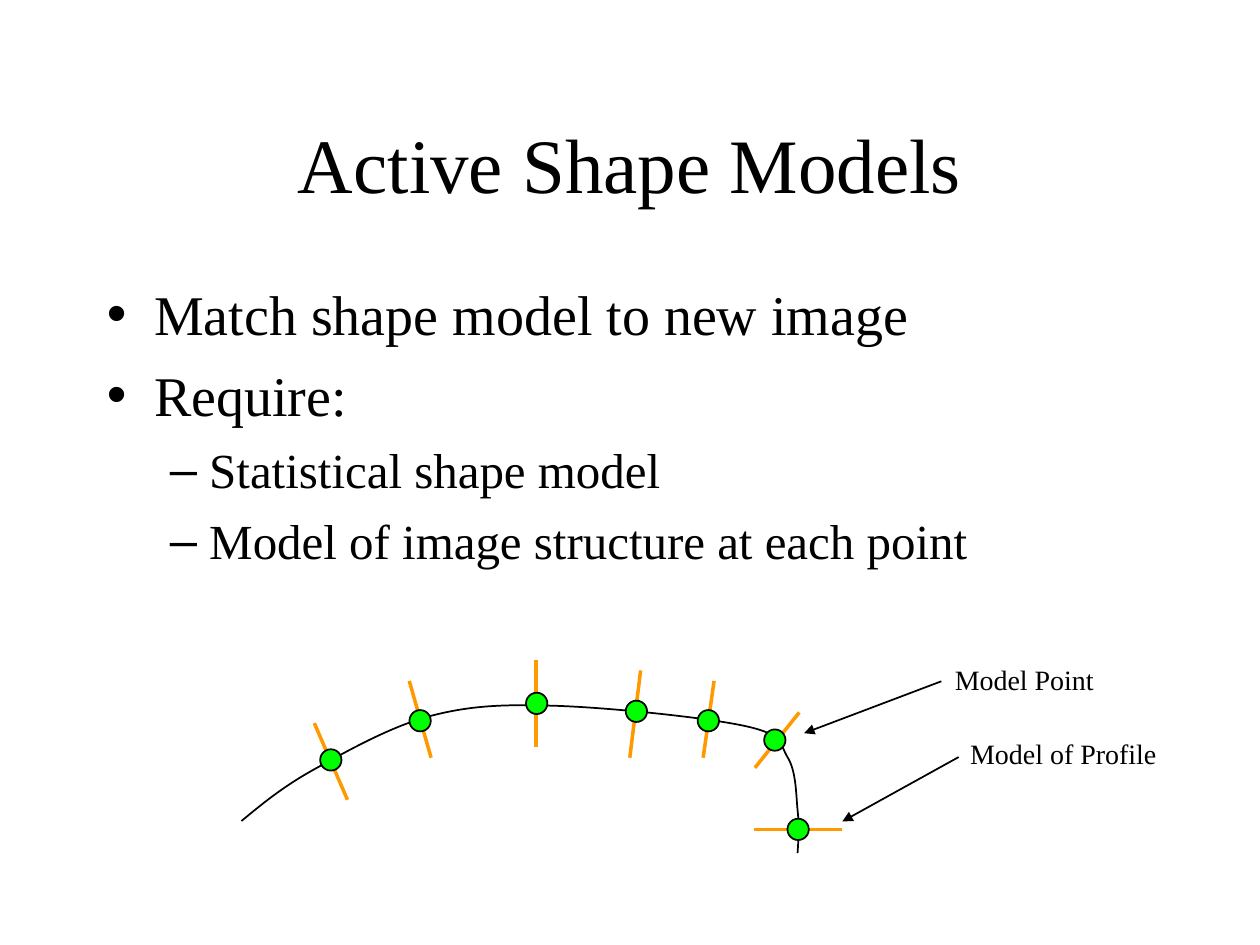
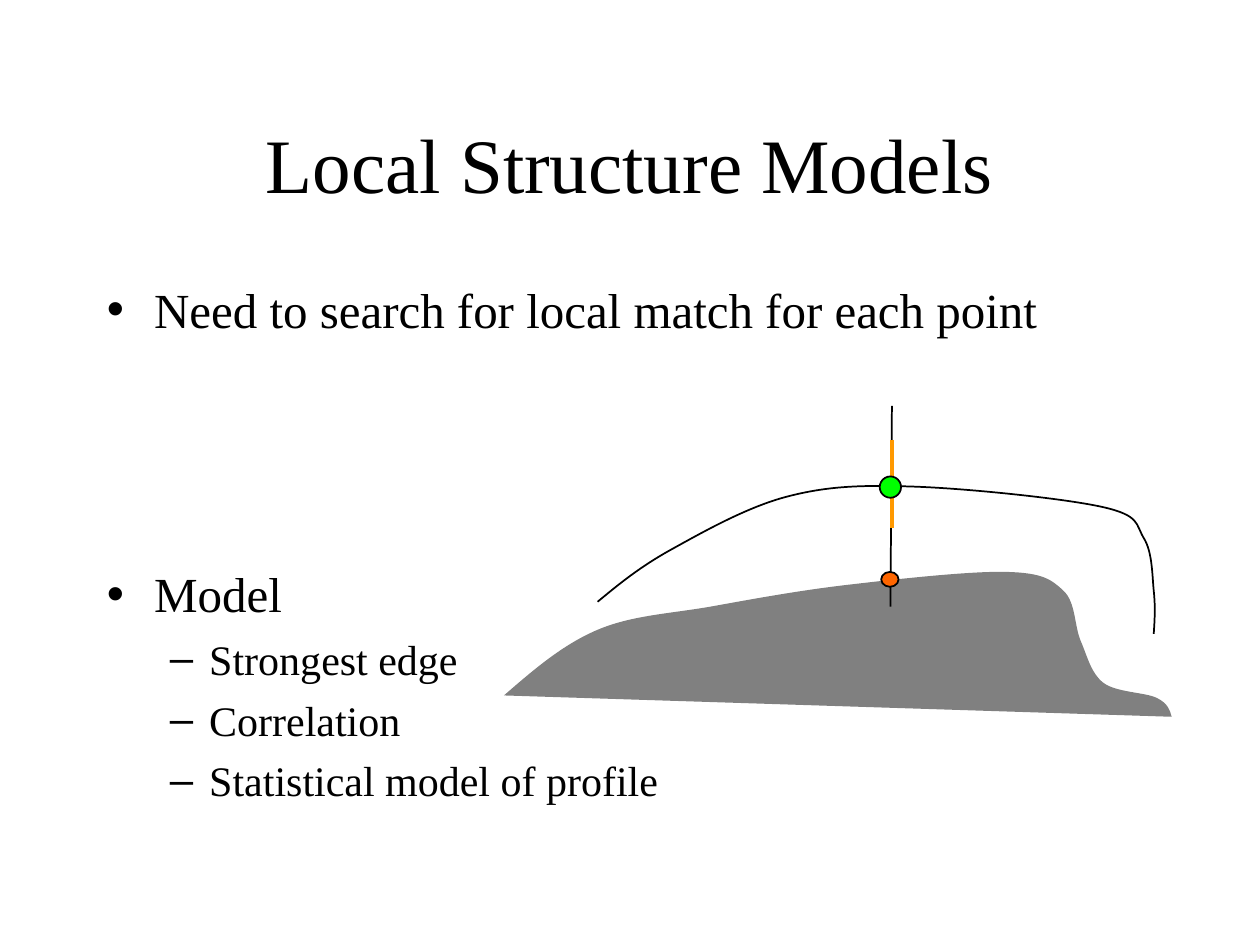
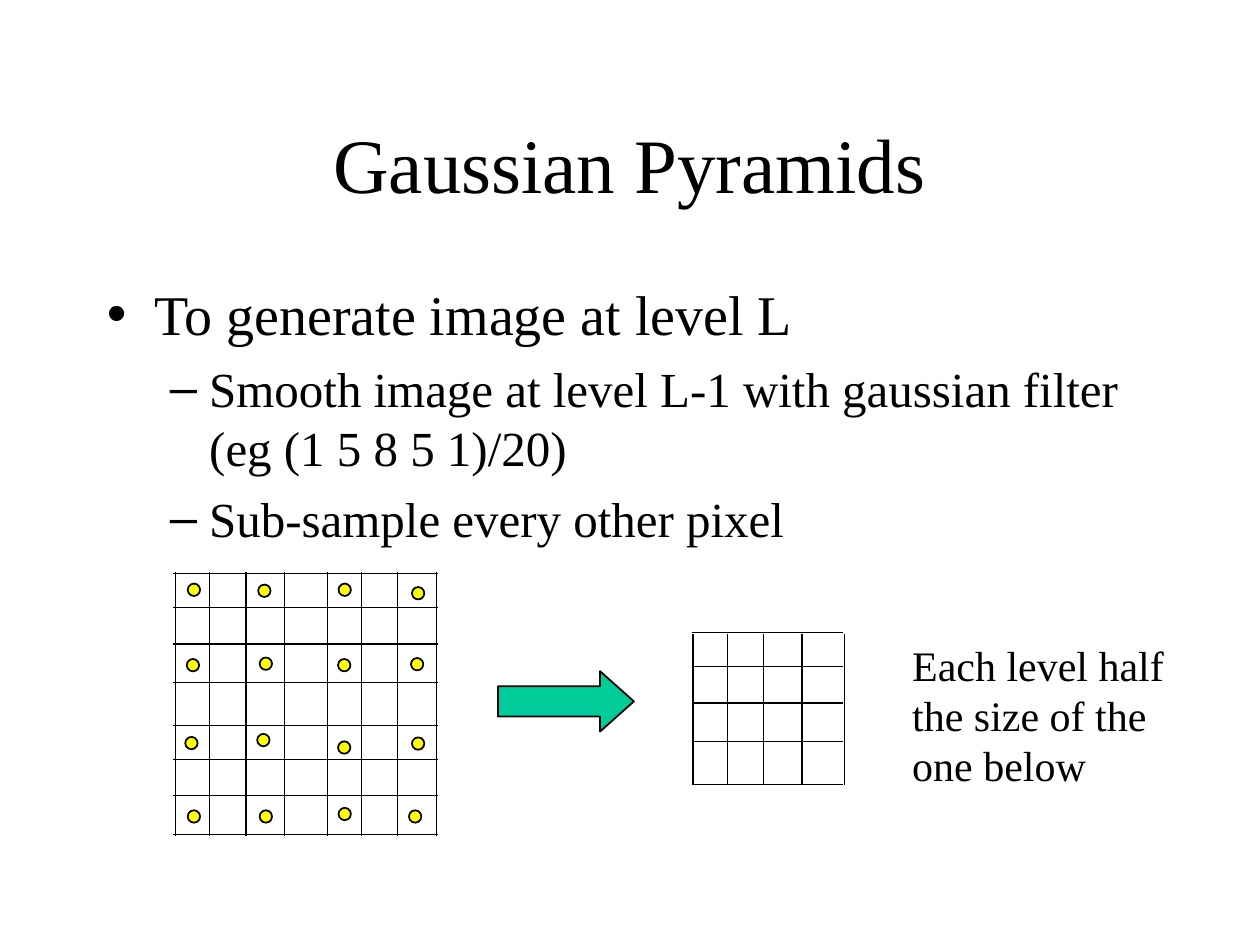
from dataclasses import dataclass
from itertools import accumulate, cycle, islice

from lxml import etree
from pptx import Presentation
from pptx import util as u
from pptx.dml.color import RGBColor
from pptx.enum import shapes, text
from pptx.oxml.ns import qn


@dataclass(frozen=True)
class Theme:
    font: str = "Times New Roman"
    ink: str = "000000"
    profile: str = "FF9900"
    model_point: str = "00FF00"
    edge_point: str = "FF6600"
    hill: str = "808080"
    arrow: str = "00CC99"
    sample: str = "FFFF00"
    title_size: int = 44
    large: int = 32
    medium: int = 28
    small: int = 24
    label: int = 16
    thin: float = 0.75
    line: float = 1
    thick: float = 2


THEME = Theme()

# All places and lengths below are in centimetres
TITLE_BOX = (1.9, 1.69, 21.59, 3.17)
BODY_BOX = (1.9, 5.5, 21.59, 11.43)
POINT_SIZE = 0.43
SAMPLE_SIZE = 0.25
GRID_GAPS = (0.69, 0.73, 0.78, 0.86)

# Knots of the model outline, measured from its left end
OUTLINE = [(0, 0), (1.47, -1.04), (3.81, -2.11), (6.35, -2.31),
           (10.16, -1.9), (11, -1.27), (11.2, -0.2), (11.2, 0.64)]
HILL = [(10.16, 14.02), (12.04, 12.7), (14.38, 12.22), (17.09, 11.79),
        (20.29, 11.53), (21.44, 11.91), (21.79, 12.93), (22.25, 13.77),
        (23.32, 14.07), (23.62, 14.45)]


def cm(*lengths):
    return [u.Cm(length) for length in lengths]


# ---- Text ----

def write(para, words, size, *, align=None, before=0, level=0):
    para.level = level
    para.space_before = u.Pt(before)
    if align is not None:
        para.alignment = align
    span = para.add_run()
    span.text = words
    span.font.name = THEME.font
    span.font.size = u.Pt(size)
    span.font.color.rgb = RGBColor.from_string(THEME.ink)


def place(box, left, top, width, height):
    box.left, box.top, box.width, box.height = cm(left, top, width, height)
    box.text_frame.auto_size = text.MSO_AUTO_SIZE.NONE


def add_page(deck, title, bullets):
    """Bullets are (words, level, size) with an optional space before."""
    page = deck.slides.add_slide(deck.slide_layouts[1])
    heading, body = page.shapes.title, page.placeholders[1]
    place(heading, *TITLE_BOX)
    heading.text_frame.vertical_anchor = text.MSO_ANCHOR.MIDDLE
    write(heading.text_frame.paragraphs[0], title, THEME.title_size,
          align=text.PP_ALIGN.CENTER)
    place(body, *BODY_BOX)
    frame = body.text_frame
    for index, (words, level, size, *space) in enumerate(bullets):
        para = frame.add_paragraph() if index else frame.paragraphs[0]
        before = space[0] if space else size // 4
        write(para, words, size, level=level, before=before if index else 0)
    return page


def add_text(page, words, bounds, size, *, align=None, wrap=True):
    box = page.shapes.add_textbox(*cm(*bounds))
    box.text_frame.word_wrap = wrap
    box.text_frame.auto_size = text.MSO_AUTO_SIZE.SHAPE_TO_FIT_TEXT
    write(box.text_frame.paragraphs[0], words, size, align=align)


# ---- Drawing ----

def stroke(shape, color, width):
    shape.line.color.rgb = RGBColor.from_string(color)
    shape.line.width = u.Pt(width)
    outline = shape.line._get_or_add_ln()
    outline.set("cap", "sq")
    return outline


def paint(shape, fill=None, line=None):
    shape.shadow.inherit = False
    if fill:
        shape.fill.solid()
        shape.fill.fore_color.rgb = RGBColor.from_string(fill)
    else:
        shape.fill.background()
    if line:
        stroke(shape, line, THEME.line)
    else:
        shape.line.fill.background()


def add_line(holder, ends, color=THEME.ink, width=THEME.line, arrow=False):
    line = holder.shapes.add_connector(shapes.MSO_CONNECTOR.STRAIGHT, *cm(*ends))
    outline = stroke(line, color, width)
    if arrow:
        etree.SubElement(outline, qn("a:tailEnd"), type="triangle")
    etree.SubElement(line._element.spPr, qn("a:effectLst"))


def add_dot(page, x, y, width, fill, height=None):
    height = height or width
    dot = page.shapes.add_shape(
        shapes.MSO_SHAPE.OVAL,
        *cm(x - width / 2, y - height / 2, width, height))
    paint(dot, fill, THEME.ink)


def bezier_points(knots):
    """Two handles and an end per piece; slopes follow neighbouring knots."""
    slopes = [[(b - a) / 6 for a, b in zip(before, after)]
              for before, after in zip(knots, knots[2:])]
    points = []
    for index, (start, end) in enumerate(zip(knots, knots[1:])):
        first = second = None
        if index > 0:
            first = [a + s for a, s in zip(start, slopes[index - 1])]
        if index < len(slopes):
            second = [b - s for b, s in zip(end, slopes[index])]
        first = first or [(a + c) / 2 for a, c in zip(start, second)]
        second = second or [(b + c) / 2 for b, c in zip(end, first)]
        points += [first, second, end]
    return points


def add_curve(page, knots, *, fill=None, line=None):
    builder = page.shapes.build_freeform(*cm(*knots[0]))
    builder.add_line_segments([cm(*point) for point in bezier_points(knots)],
                              close=False)
    shape = builder.convert_to_shape()
    # Join each three straight steps into one cubic piece
    steps = list(shape._element.iter(qn("a:lnTo")))
    for first, second, end in zip(steps[::3], steps[1::3], steps[2::3]):
        first.tag = qn("a:cubicBezTo")
        for step in (second, end):
            first.append(step[0])
            step.getparent().remove(step)
    paint(shape, fill, line)


def add_outline(page, left, top):
    add_curve(page, [(left + x, top + y) for x, y in OUTLINE], line=THEME.ink)


def add_callout(page, words, bounds, arrow_ends):
    add_text(page, words, bounds, THEME.label,
             align=text.PP_ALIGN.CENTER, wrap=False)
    add_line(page, arrow_ends, arrow=True)


def add_grid(page, left, top, cells, length, row_left, column_top):
    """Draw a square pixel grid whose lines all have one length."""
    columns, rows = page.shapes.add_group_shape(), page.shapes.add_group_shape()
    for offset in accumulate(islice(cycle(GRID_GAPS), cells), initial=0):
        x, y = left + offset, top + offset
        add_line(columns, (x, column_top, x, column_top + length), width=THEME.thin)
        add_line(rows, (row_left + length, y, row_left, y), width=THEME.thin)


# ---- Slides ----

def shape_models(deck):
    page = add_page(deck, "Active Shape Models", [
        ("Match shape model to new image", 0, THEME.large),
        ("Require:", 0, THEME.large),
        ("Statistical shape model", 1, THEME.medium),
        ("Model of image structure at each point", 1, THEME.medium)])
    add_outline(page, 4.88, 16.54)
    profiles = [(6.35, 14.61, 6.99, 16.09), (8.26, 13.76, 8.68, 15.24),
                (10.8, 13.34, 10.8, 15.03), (12.91, 13.55, 12.7, 15.24),
                (14.39, 13.76, 14.18, 15.24), (16.09, 14.39, 15.24, 15.45),
                (16.93, 16.72, 15.24, 16.72)]
    for profile in profiles:
        add_line(page, profile, THEME.profile, THEME.thick)
    model_points = [(16.09, 16.72), (15.62, 14.92), (14.28, 14.53), (12.83, 14.34),
                    (10.82, 14.18), (8.47, 14.53), (6.67, 15.32)]
    for x, y in model_points:
        add_dot(page, x, y, POINT_SIZE, THEME.model_point)
    add_callout(page, "Model Point", (19, 13.23, 3.3, 0.94),
                (18.96, 13.74, 16.21, 14.78))
    add_callout(page, "Model of Profile", (19.3, 14.72, 4.27, 0.94),
                (19.31, 15.27, 16.98, 16.56))


def structure_models(deck):
    page = add_page(deck, "Local Structure Models", [
        ("Need to search for local match for each point", 0, THEME.medium),
        ("Model", 0, THEME.medium, 129),
        ("Strongest edge", 1, THEME.small),
        ("Correlation", 1, THEME.small),
        ("Statistical model of profile", 1, THEME.small)])
    add_curve(page, HILL, fill=THEME.hill)
    add_line(page, (17.98, 8.2, 17.95, 12.21))
    add_outline(page, 12.06, 12.12)
    add_line(page, (17.98, 8.91, 17.98, 10.61), THEME.profile, THEME.thick)
    add_dot(page, 17.95, 9.82, POINT_SIZE, THEME.model_point)
    add_line(page, (10.81, 9.75, 10.81, 9.75))
    add_dot(page, 17.94, 11.68, 0.35, THEME.edge_point, height=0.3)


def gaussian_pyramids(deck):
    page = add_page(deck, "Gaussian Pyramids", [
        ("To generate image at level L", 0, THEME.large),
        ("Smooth image at level L-1 with gaussian filter (eg (1 5 8 5 1)/20)",
         1, THEME.medium),
        ("Sub-sample every other pixel", 1, THEME.medium)])
    add_grid(page, 3.54, 11.56, 7, length=5.31, row_left=3.51, column_top=11.54)
    arrow = page.shapes.add_shape(shapes.MSO_SHAPE.RIGHT_ARROW,
                                  *cm(10.04, 13.53, 2.74, 1.22))
    arrow.adjustments[1] = 0.56
    paint(arrow, THEME.arrow, THEME.ink)
    add_grid(page, 13.97, 12.75, 4, length=3.02, row_left=13.96, column_top=12.79)
    # Hand-placed samples, row by row
    samples = [(3.91, 11.89), (5.33, 11.91), (6.95, 11.89), (8.43, 11.96),
               (3.89, 13.41), (5.36, 13.38), (6.94, 13.41), (8.41, 13.39),
               (3.86, 14.98), (5.31, 14.92), (6.94, 15.07), (8.43, 14.99),
               (3.91, 16.46), (5.36, 16.46), (6.95, 16.41), (8.37, 16.46)]
    for x, y in samples:
        add_dot(page, x, y, SAMPLE_SIZE, THEME.sample)
    add_text(page, "Each level half the size of the one below",
             (18.14, 12.76, 6.35, 3.3), THEME.small)


def main():
    deck = Presentation()
    deck.slide_width, deck.slide_height = cm(25.4, 19.05)
    shape_models(deck)
    structure_models(deck)
    gaussian_pyramids(deck)
    deck.save("out.pptx")


if __name__ == "__main__":
    main()
